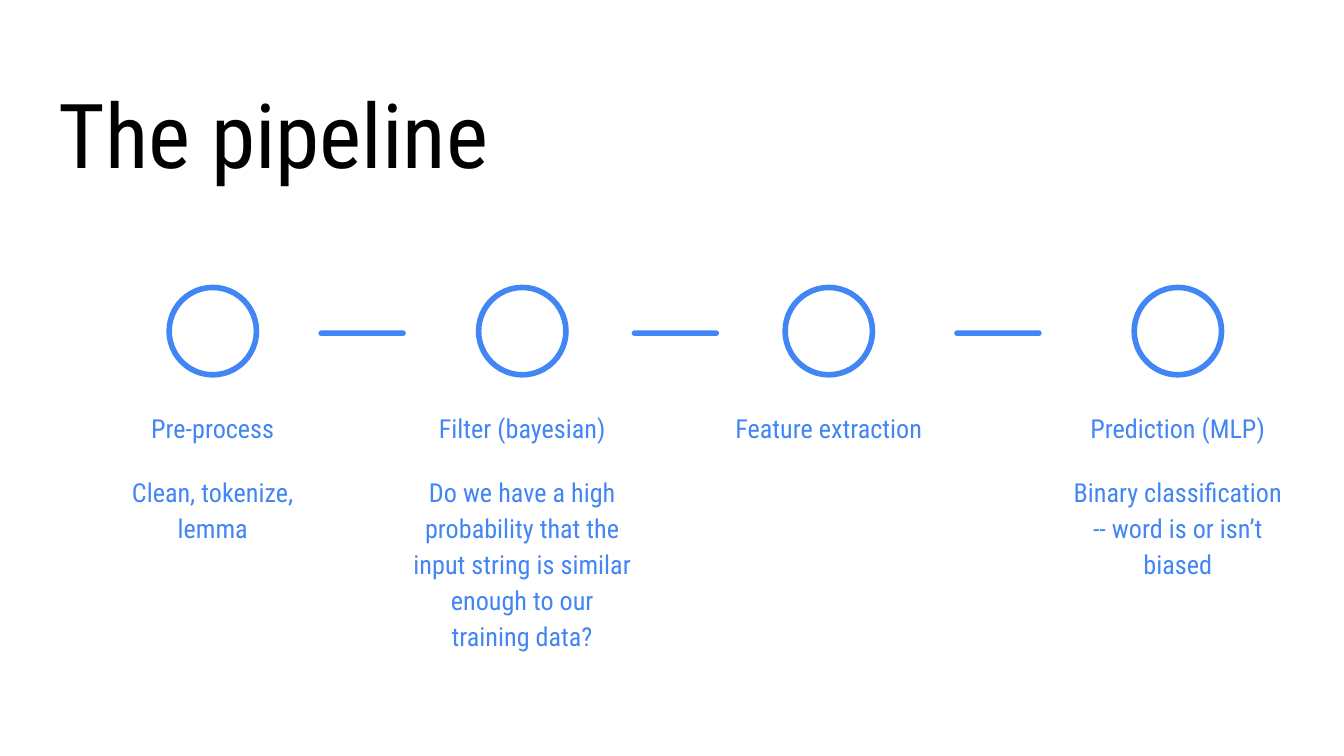
from pptx import Presentation
from pptx.dml.color import RGBColor
from pptx.enum.shapes import MSO_SHAPE
from pptx.enum.text import MSO_ANCHOR, PP_ALIGN
from pptx.util import Pt

OVAL = MSO_SHAPE.OVAL
ROUNDED = MSO_SHAPE.ROUNDED_RECTANGLE
TOP, BOTTOM = MSO_ANCHOR.TOP, MSO_ANCHOR.BOTTOM
LEFT, CENTER = PP_ALIGN.LEFT, PP_ALIGN.CENTER

# Centre x, name and description of each step
STEPS = [
    (114, "Pre-process", "Clean, tokenize, lemma"),
    (279.8, "Filter (bayesian)",
     "Do we have a high probability that the input string is similar "
     "enough to our training data?"),
    (444, "Feature extraction", None),
    (631, "Prediction (MLP)", "Binary classification -- word is or isn’t biased"),
]
DASH_LEFTS = [170.6, 338.4, 511.2]
CIRCLE_SIZE = 46.8
LABEL_WIDTH = 134.6


def color(hex_text):
    return RGBColor.from_string(hex_text)


class PipelineSlide:
    font = "Roboto Condensed"
    accent = "4285F4"
    ink = "000000"
    inset = 7.2

    def __init__(self, presentation):
        self.slide = presentation.slides.add_slide(presentation.slide_layouts[6])

    def text(self, left, top, width, height, words, size=14, ink=accent,
             align=CENTER, anchor=TOP, line_spacing=1.15):
        box = self.slide.shapes.add_textbox(Pt(left), Pt(top), Pt(width), Pt(height))
        frame = box.text_frame
        frame.word_wrap = True
        frame.vertical_anchor = anchor
        frame.margin_left = frame.margin_right = Pt(self.inset)
        frame.margin_top = frame.margin_bottom = Pt(self.inset)
        frame.text = words
        paragraph = frame.paragraphs[0]
        paragraph.alignment = align
        paragraph.line_spacing = line_spacing
        font = paragraph.runs[0].font
        font.name = self.font
        font.size = Pt(size)
        font.color.rgb = color(ink)

    def circle(self, center_x, top):
        shape = self.slide.shapes.add_shape(
            OVAL, Pt(center_x - CIRCLE_SIZE / 2), Pt(top),
            Pt(CIRCLE_SIZE), Pt(CIRCLE_SIZE))
        shape.shadow.inherit = False
        shape.fill.background()
        shape.line.color.rgb = color(self.accent)
        shape.line.width = Pt(3)

    def dash(self, left, top):
        shape = self.slide.shapes.add_shape(ROUNDED, Pt(left), Pt(top), Pt(46.8), Pt(3))
        shape.adjustments[0] = 0.5
        shape.shadow.inherit = False
        shape.fill.solid()
        shape.fill.fore_color.rgb = color(self.accent)
        shape.line.fill.background()

    def step(self, center_x, name, description):
        left = center_x - LABEL_WIDTH / 2
        self.circle(center_x, 154)
        self.text(left, 209.5, LABEL_WIDTH, 35.3, name, anchor=BOTTOM)
        if description:
            self.text(left, 245.5, LABEL_WIDTH, 58.3, description)


def main():
    presentation = Presentation()
    presentation.slide_width = Pt(720)
    presentation.slide_height = Pt(405)

    pipeline = PipelineSlide(presentation)
    pipeline.text(24.5, 35.3, 671, 45.4, "The pipeline", size=48,
                  ink=pipeline.ink, align=LEFT, line_spacing=1.0)
    for step in STEPS:
        pipeline.step(*step)
    for left in DASH_LEFTS:
        pipeline.dash(left, 177)

    presentation.save("out.pptx")


if __name__ == "__main__":
    main()
